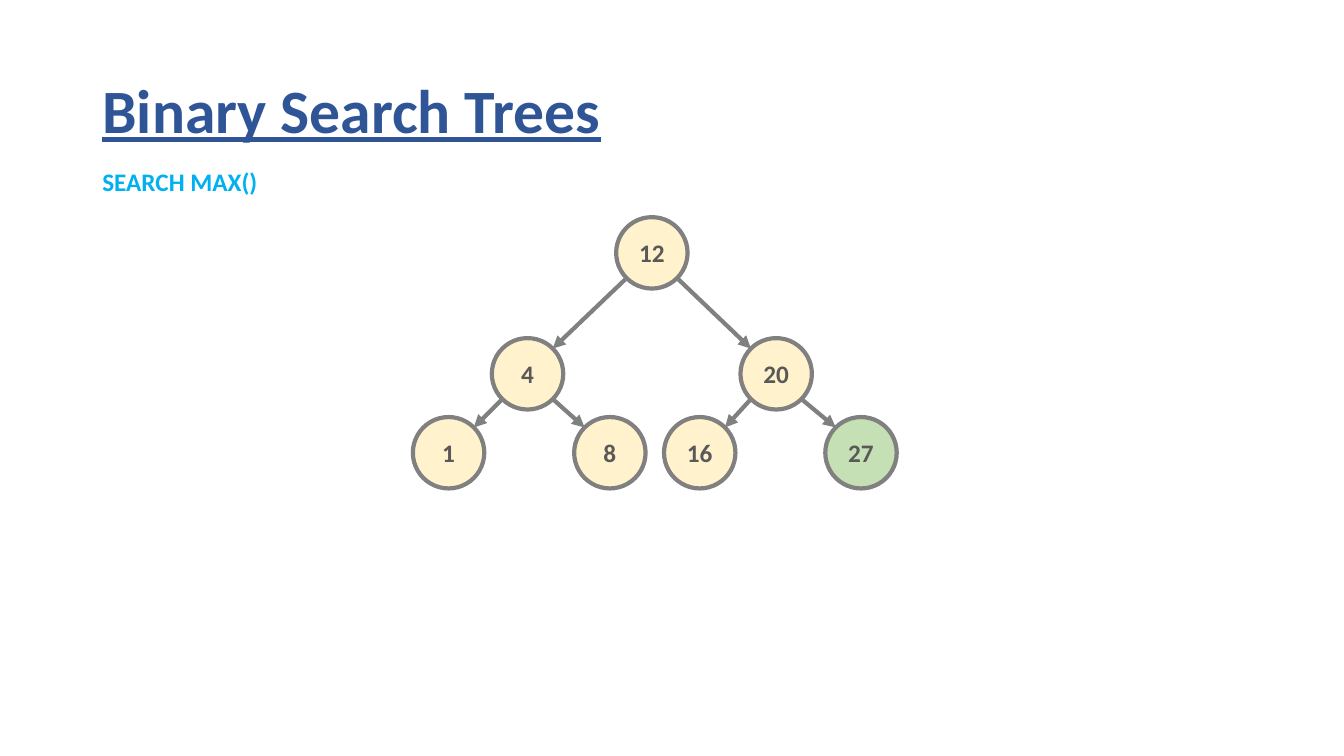
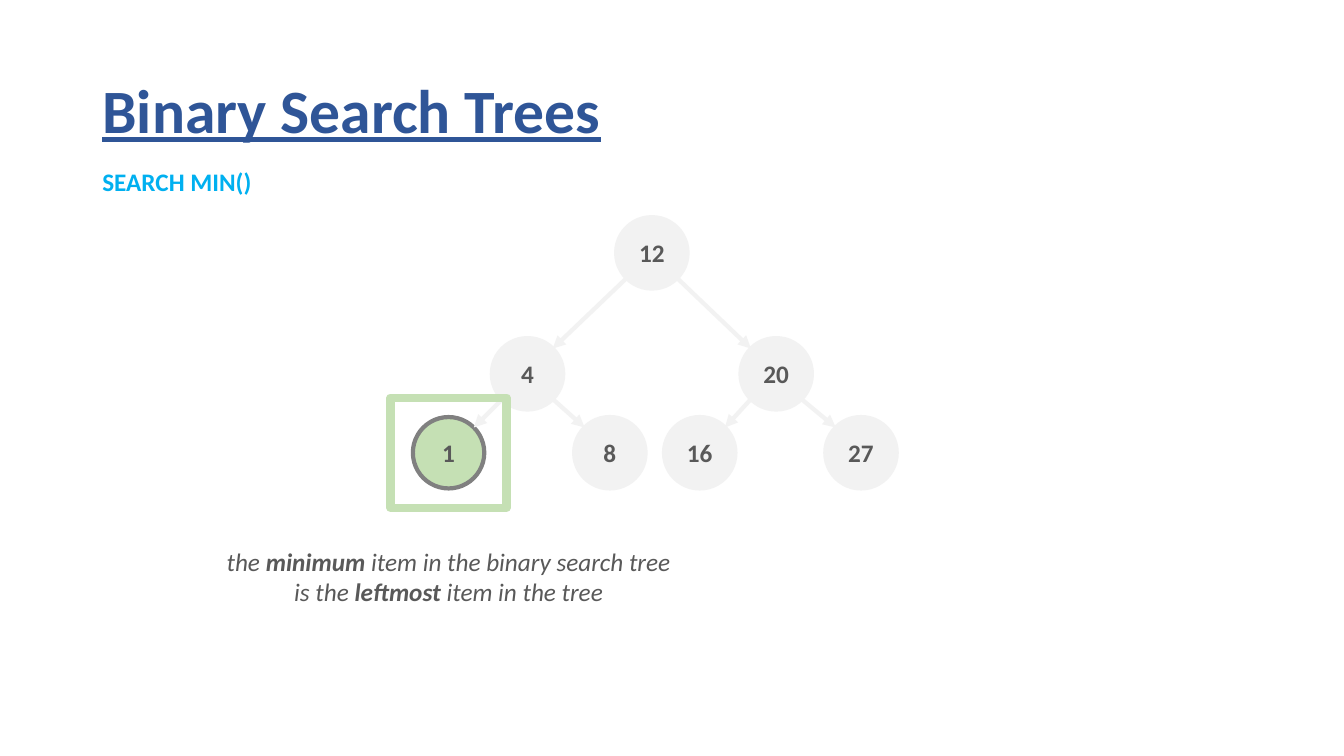
"""Build two slides that search a binary tree for its maximum and minimum."""
from math import copysign, sqrt

from lxml.etree import SubElement
from pptx import Presentation
from pptx.dml.color import RGBColor
from pptx.enum.shapes import MSO_CONNECTOR as LINE, MSO_SHAPE as SHAPE
from pptx.enum.text import MSO_ANCHOR as ANCHOR, MSO_AUTO_SIZE as FIT, PP_ALIGN as ALIGN
from pptx.oxml.ns import qn
from pptx.util import Inches, Pt

COLS, ROWS = 160, 90
LEFT = 11
TREE = {
    12: (77.6, 30.1, None),
    4: (62.8, 44.5, 12),
    20: (92.4, 44.5, 12),
    1: (53.4, 53.9, 4),
    8: (72.6, 53.9, 4),
    16: (83.3, 53.9, 20),
    27: (102.5, 53.9, 20),
}


def rgb(value):
    """Turn a hex string into a colour."""
    return RGBColor.from_string(value)


class Deck:
    """Hold the shared style and the current slide."""

    FONT, BODY, TITLE, NODE = "Calibri", 18, 44, 8.5
    NAVY, SKY, TEXT, GRAY = "2F5597", "00B0F0", "595959", "808080"
    CREAM, GREEN, FADED = "FFF2CC", "C5E0B4", "F2F2F2"

    def __init__(self):
        """Start a widescreen deck."""
        self.prs = Presentation()
        self.prs.slide_width, self.prs.slide_height = Inches(13.33), Inches(7.5)

    def x(self, cols):
        """Convert grid columns to a length."""
        return int(self.prs.slide_width * cols / COLS)

    def y(self, rows):
        """Convert grid rows to a length."""
        return int(self.prs.slide_height * rows / ROWS)

    def box(self, left, top, width, height):
        """Convert a grid box to slide lengths."""
        return self.x(left), self.y(top), self.x(width), self.y(height)

    def style(self, p, color, size=BODY, bold=None, italic=None, align=ALIGN.LEFT):
        """Set the font and alignment of a paragraph."""
        p.alignment = align
        font = p.font
        font.name, font.size, font.bold, font.italic = self.FONT, Pt(size), bold, italic
        font.color.rgb = rgb(color)

    def slide(self, title, subtitle):
        """Add a slide with its title and subtitle."""
        self.s = self.prs.slides.add_slide(self.prs.slide_layouts[5])
        sp = self.s.shapes.title
        sp.left, sp.top, sp.width, sp.height = self.box(LEFT, 4.8, 138, 17.4)
        tf = sp.text_frame
        tf.text, tf.auto_size, tf.vertical_anchor = title, FIT.NONE, ANCHOR.MIDDLE
        p = tf.paragraphs[0]
        self.style(p, self.NAVY, self.TITLE, bold=True)
        p.font.underline, p.line_spacing = True, 0.9
        self.text(LEFT, 19.2, 40, [[(subtitle, True)]], self.SKY)

    def text(self, left, top, width, lines, color, **look):
        """Add a text box from lines of (text, bold) runs."""
        tf = self.s.shapes.add_textbox(*self.box(left, top, width, 4.8 * len(lines))).text_frame
        tf.word_wrap = True
        for i, line in enumerate(lines):
            p = tf.add_paragraph() if i else tf.paragraphs[0]
            self.style(p, color, **look)
            for words, bold in line:
                r = p.add_run()
                r.text, r.font.bold = words, bold

    def shape(self, kind, cx, cy, width, height, line, weight, fill=None):
        """Add an outlined shape around a centre."""
        sp = self.s.shapes.add_shape(
            kind, *self.box(cx - width / 2, cy - height / 2, width, height))
        sp.shadow.inherit = False
        sp.line.color.rgb, sp.line.width = rgb(line), Pt(weight)
        if fill:
            sp.fill.solid()
            sp.fill.fore_color.rgb = rgb(fill)
        else:
            sp.fill.background()
        return sp

    def node(self, value, cx, cy, fill, line):
        """Add a round tree node."""
        sp = self.shape(SHAPE.OVAL, cx, cy, self.NODE, self.NODE, line, 3, fill)
        tf = sp.text_frame
        tf.margin_left = tf.margin_right = 0
        tf.vertical_anchor = ANCHOR.MIDDLE
        tf.text = str(value)
        self.style(tf.paragraphs[0], self.TEXT, bold=True, align=ALIGN.CENTER)

    def arrow(self, parent, child, color):
        """Add an arrow between the facing diagonal points of two nodes."""
        (px, py), (cx, cy) = parent, child
        reach = self.NODE / 2 / sqrt(2)
        dx = copysign(reach, cx - px)
        c = self.s.shapes.add_connector(
            LINE.STRAIGHT, self.x(px + dx), self.y(py + reach),
            self.x(cx - dx), self.y(cy - reach))
        c.line.color.rgb, c.line.width = rgb(color), Pt(3)
        SubElement(c.line._get_or_add_ln(), qn("a:tailEnd"), type="triangle")
        SubElement(c._element.spPr, qn("a:effectLst"))

    def tree(self, found, fill, line):
        """Draw the tree with the found node in green."""
        for value, (cx, cy, parent) in TREE.items():
            hit = value == found
            self.node(value, cx, cy, self.GREEN if hit else fill, self.GRAY if hit else line)
            if parent:
                self.arrow(TREE[parent][:2], (cx, cy), line)

    def callout(self, value, lines):
        """Frame a node and explain it underneath."""
        cx, cy, _ = TREE[value]
        self.shape(SHAPE.RECTANGLE, cx, cy, 13.8, 13.1, self.GREEN, 6)
        width = 60
        self.text(cx - width / 2, 64.4, width, lines, self.TEXT,
                  italic=True, align=ALIGN.CENTER)


def main():
    """Build and save the deck."""
    deck = Deck()
    title = "Binary Search Trees"
    deck.slide(title, "SEARCH MAX()")
    deck.tree(max(TREE), deck.CREAM, deck.GRAY)

    deck.slide(title, "SEARCH MIN()")
    deck.tree(min(TREE), deck.FADED, deck.FADED)
    deck.callout(min(TREE), [
        [("the ", False), ("minimum", True), (" item in the binary search tree", False)],
        [("is the ", False), ("leftmost", True), (" item in the tree", False)],
    ])
    deck.prs.save("out.pptx")


if __name__ == "__main__":
    main()
